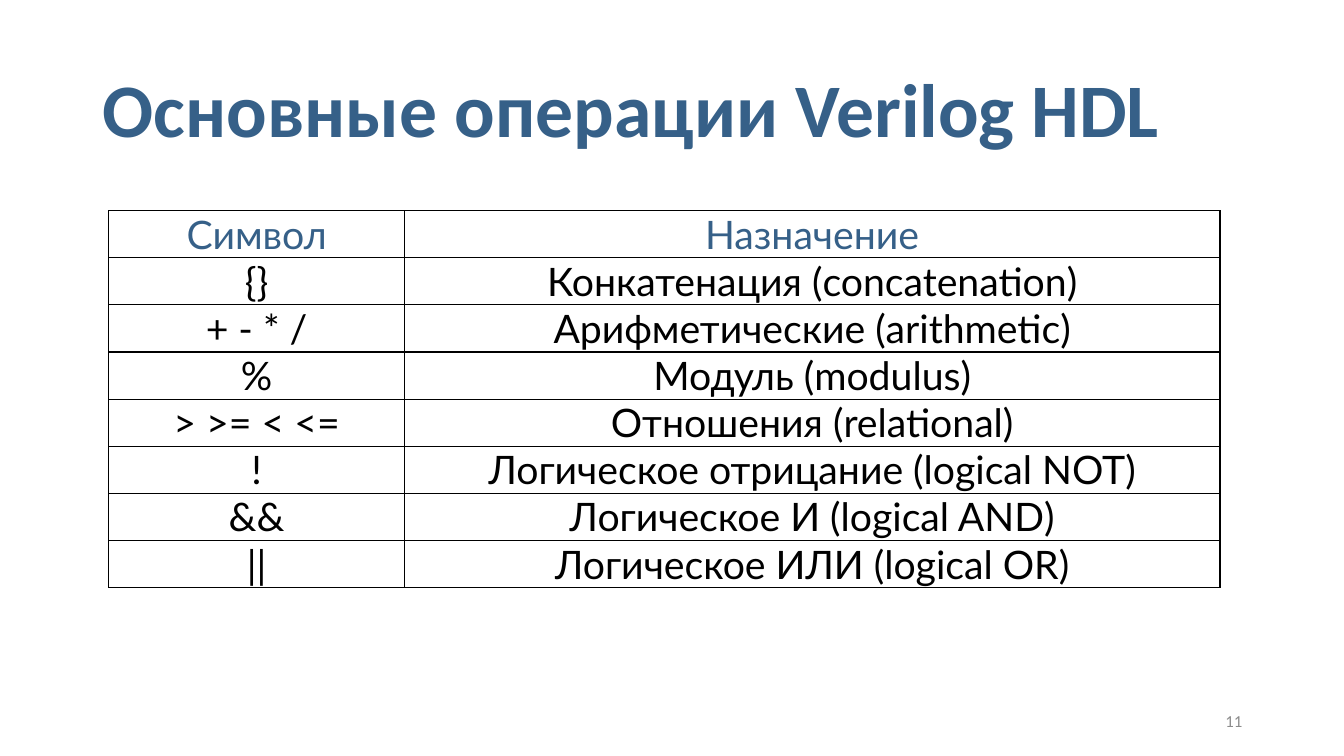
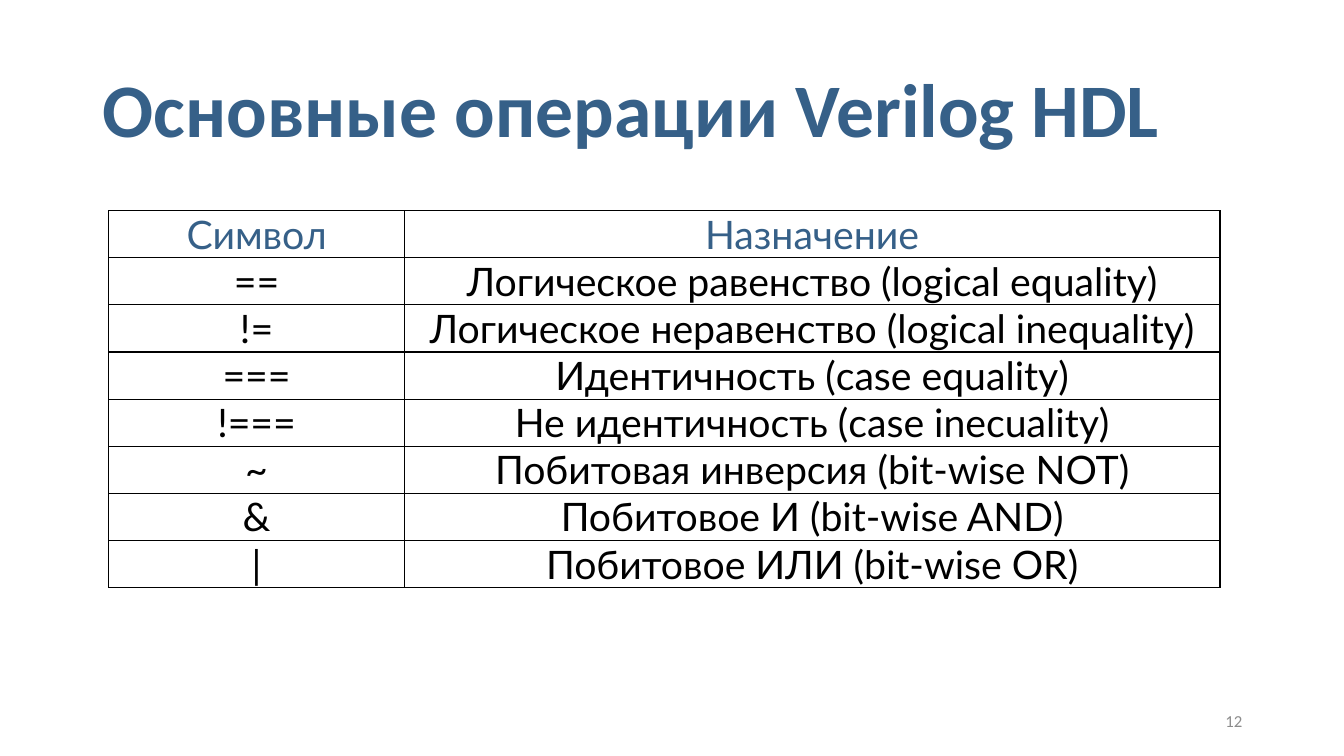
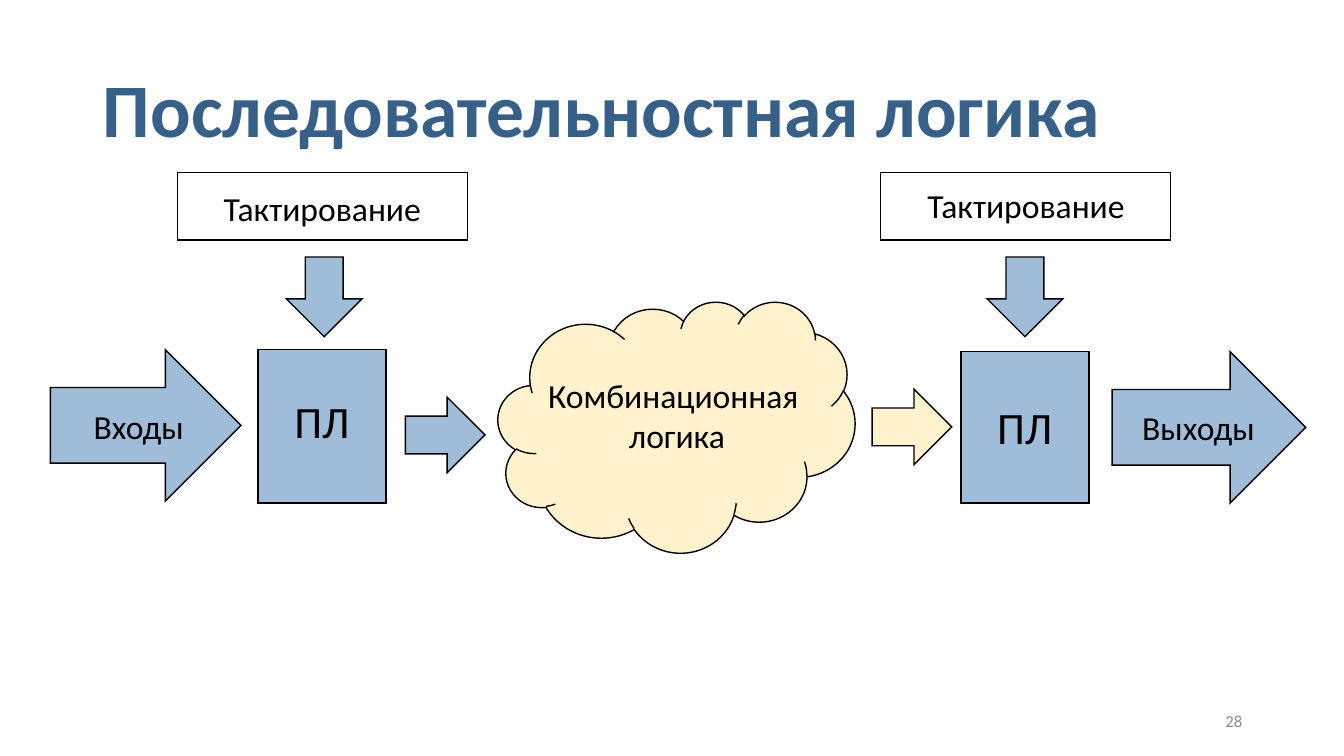
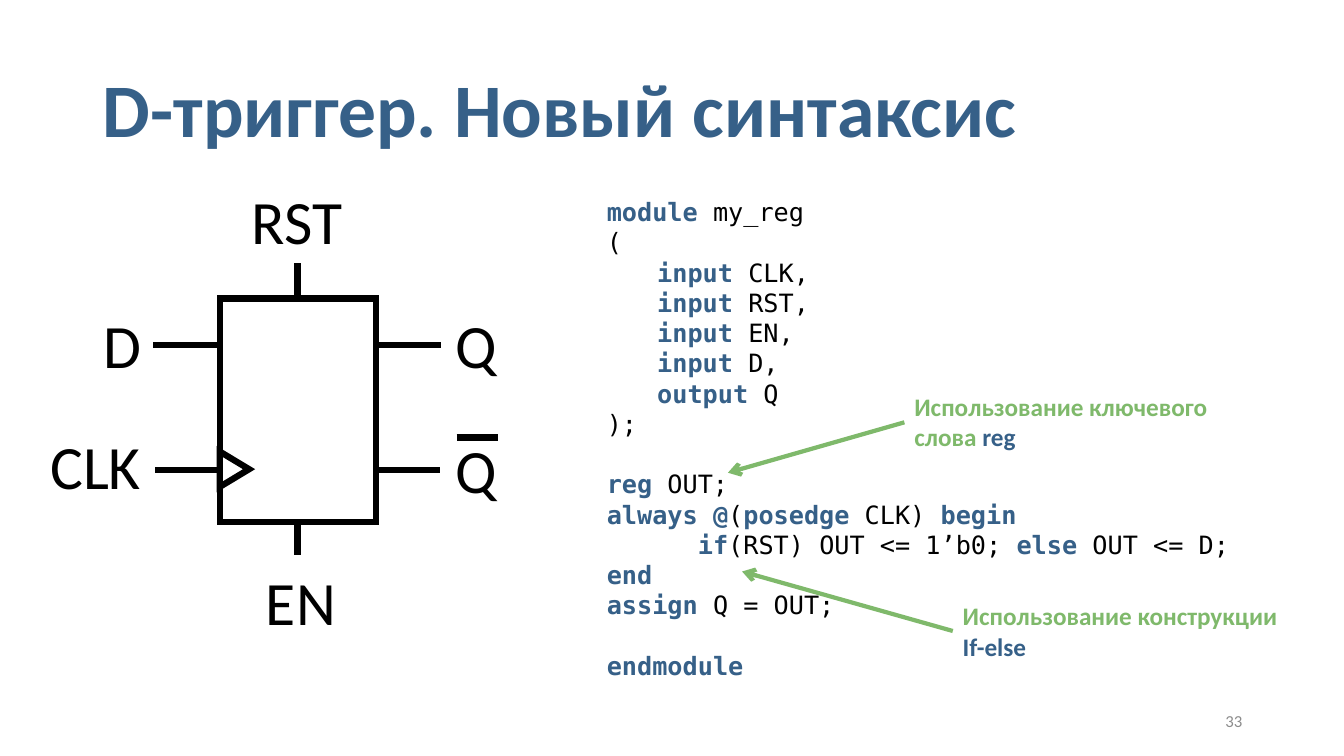
from dataclasses import dataclass

from lxml import etree
from pptx import Presentation
from pptx import util as u
from pptx.dml.color import RGBColor
from pptx.enum import shapes, text
from pptx.oxml import ns


@dataclass(frozen=True)
class Theme:
    blue: str = "366088"
    black: str = "000000"
    white: str = "FFFFFF"
    gray: str = "8C8C8C"
    sky: str = "9FBDD9"
    cream: str = "FFF2CC"
    green: str = "7FB96B"
    font: str = "Calibri"
    table_font: str = "Lato"
    code_font: str = "DejaVu Sans Mono"
    title: int = 54
    pin: int = 44
    register: int = 32
    table: int = 28
    label: int = 24
    code: int = 18
    number: int = 12
    thin: float = 1
    thick: float = 4.5
    pointer: float = 3
    code_line: float = 21.6


THEME = Theme()
LEFT, CENTER, RIGHT = (text.PP_ALIGN.LEFT, text.PP_ALIGN.CENTER,
                       text.PP_ALIGN.RIGHT)

# Content: operation tables
OPERATIONS_TITLE = "Основные операции Verilog HDL"
HEADER = ("Символ", "Назначение")
OPERATIONS = {
    11: [
        ("{}", "Конкатенация (concatenation)"),
        ("+ - * /", "Арифметические (arithmetic)"),
        ("%", "Модуль (modulus)"),
        ("> >= < <=", "Отношения (relational)"),
        ("!", "Логическое отрицание (logical NOT)"),
        ("&&", "Логическое И (logical AND)"),
        ("||", "Логическое ИЛИ (logical OR)"),
    ],
    12: [
        ("==", "Логическое равенство (logical equality)"),
        ("!=", "Логическое неравенство (logical inequality)"),
        ("===", "Идентичность (case equality)"),
        ("!===", "Не идентичность (case inecuality)"),
        ("~", "Побитовая инверсия (bit-wise NOT)"),
        ("&", "Побитовое И (bit-wise AND)"),
        ("|", "Побитовое ИЛИ (bit-wise OR)"),
    ],
}
TABLE_BOX = (1.08, 2.09, 11.02, 3.73)
TABLE_COLUMNS = (2.93, 8.09)

# Content: sequential logic; box, preset, fill, rotation
LOGIC_BLOCKS = [
    ((0.5, 3.47, 1.89, 1.5), "RIGHT_ARROW", THEME.sky, 0),
    ((11.03, 3.49, 1.92, 1.5), "RIGHT_ARROW", THEME.sky, 0),
    ((2.56, 3.47, 1.27, 1.52), "RECTANGLE", THEME.sky, 0),
    ((9.53, 3.49, 1.27, 1.5), "RECTANGLE", THEME.sky, 0),
    ((4.02, 3.94, 0.79, 0.75), "RIGHT_ARROW", THEME.sky, 0),
    ((8.65, 3.86, 0.79, 0.75), "RIGHT_ARROW", THEME.cream, 0),
    ((2.82, 2.57, 0.79, 0.75), "RIGHT_ARROW", THEME.sky, 90),
    ((9.77, 2.57, 0.79, 0.75), "RIGHT_ARROW", THEME.sky, 90),
    ((4.94, 2.99, 3.54, 2.49), "CLOUD", THEME.cream, 0),
    ((1.76, 1.71, 2.88, 0.67), "RECTANGLE", None, 0),
    ((8.73, 1.71, 2.88, 0.67), "RECTANGLE", None, 0),
]
# Box, lines, size, fill
LOGIC_LABELS = [
    ((0.83, 3.98, 1.1, 0.5), ["Входы"], THEME.label, THEME.sky),
    ((11.23, 3.99, 1.33, 0.5), ["Выходы"], THEME.label, THEME.sky),
    ((2.82, 3.86, 0.75, 0.64), ["ПЛ"], THEME.register, THEME.sky),
    ((9.79, 3.92, 0.75, 0.64), ["ПЛ"], THEME.register, THEME.sky),
    ((5.32, 3.67, 2.79, 0.91), ["Комбинационная ", "логика"], THEME.label,
     THEME.cream),
    ((2.12, 1.82, 2.18, 0.5), ["Тактирование"], THEME.label, None),
    ((9.1, 1.79, 2.18, 0.5), ["Тактирование"], THEME.label, None),
]

# Content: D flip-flop
FLIP_FLOP = [
    ((2.18, 2.96, 1.55, 2.22), "RECTANGLE", None, 0),
    ((2.15, 4.51, 0.35, 0.29), "ISOSCELES_TRIANGLE", None, 90),
]
PIN_LINES = [
    ((1.52, 3.42), (2.18, 3.42)),
    ((1.54, 4.66), (2.2, 4.66)),
    ((3.71, 3.42), (4.37, 3.42)),
    ((3.7, 4.66), (4.36, 4.66)),
    ((4.53, 4.34), (4.94, 4.34)),
    ((2.95, 2.61), (2.95, 2.94)),
    ((2.95, 5.18), (2.95, 5.51)),
]
PIN_HEIGHT = 0.84
PIN_LABELS = [  # left, top, width
    ("D", 0.93, 3, 0.58),
    ("CLK", 0.4, 4.2, 1.11),
    ("Q", 4.42, 3, 0.62),
    ("Q", 4.42, 4.24, 0.62),
    ("RST", 2.4, 1.77, 1.11),
    ("EN", 2.54, 5.55, 0.9),
]
# Keywords stand between bars; one blank line separates the groups
CODE_BOX = (5.92, 1.9, 6.67, 4.95)
CODE_GROUPS = [
    ["|module |my_reg", "(", "\t|input| CLK,", "\t|input| RST,",
     "\t|input| EN,", "\t|input| D,", "\t|output |Q", ");"],
    ["|reg |OUT;", "|always @|(|posedge |CLK) |begin",
     "      |if|(RST) OUT <= 1’b0; |else |OUT <= D;", "|end",
     "|assign |Q = OUT;"],
    ["|endmodule"],
]
CALLOUTS = [  # box, lines, arrow from, arrow to
    ((8.97, 3.83, 3.18, 0.71), ["Использование ключевого", "слова |reg"],
     (8.97, 4.19), (7.22, 4.69)),
    ((9.45, 5.91, 3.34, 0.71), ["Использование конструкции", "|If-else"],
     (9.45, 6.26), (7.36, 5.67)),
]


# Shared helpers
def inches(values):
    return [u.Inches(value) for value in values]


def set_format(font, color, **values):
    for name, value in values.items():
        setattr(font, name, value)
    font.color.rgb = RGBColor.from_string(color)


def set_fill(fill, color):
    if color is None:
        fill.background()
    else:
        fill.solid()
        fill.fore_color.rgb = RGBColor.from_string(color)


def set_line(line, color, width):
    line.color.rgb = RGBColor.from_string(color)
    line.width = u.Pt(width)
    etree.SubElement(line._get_or_add_ln(), ns.qn("a:miter"), lim="800000")


def write(paragraph, content, size, color=THEME.black, font=THEME.font,
          bold=False, align=LEFT, keyword=None):
    """Write one line; with a keyword format, bars switch to it and back."""
    paragraph.alignment = align
    parts = content.split("|") if keyword else [content]
    for index, part in enumerate(parts):
        if part:
            run = paragraph.add_run()
            run.text = part
            values = {"color": color, "bold": bold}
            if index % 2:
                values = keyword
            set_format(run.font, size=u.Pt(size), name=font, **values)


def add_text(slide, box, lines, size, fill=None, wrap=False, **values):
    shape = slide.shapes.add_textbox(*inches(box))
    set_fill(shape.fill, fill)
    frame = shape.text_frame
    frame.word_wrap = wrap
    frame.auto_size = text.MSO_AUTO_SIZE.SHAPE_TO_FIT_TEXT
    for index, line in enumerate(lines):
        paragraph = frame.add_paragraph() if index else frame.paragraphs[0]
        write(paragraph, line, size, **values)
    return shape


def add_blocks(slide, blocks, width):
    for box, preset, fill, rotation in blocks:
        kind = getattr(shapes.MSO_SHAPE, preset)
        shape = slide.shapes.add_shape(kind, *inches(box))
        shape.shadow.inherit = False
        shape.rotation = rotation
        set_fill(shape.fill, fill)
        set_line(shape.line, THEME.black, width)


def add_line(slide, start, end, color, width, arrow=False):
    connector = slide.shapes.add_connector(
        shapes.MSO_CONNECTOR.STRAIGHT, *inches(start + end))
    set_line(connector.line, color, width)
    if arrow:
        etree.SubElement(connector.line._get_or_add_ln(),
                         ns.qn("a:tailEnd"), type="arrow")
    etree.SubElement(connector._element.spPr, ns.qn("a:effectLst"))


def add_slide(presentation, title, number):
    slide = presentation.slides.add_slide(presentation.slide_layouts[5])
    shape = slide.shapes.title
    shape.left, shape.top, shape.width, shape.height = inches(
        (0.92, 0.4, 11.5, 1.45))
    shape.text_frame.vertical_anchor = text.MSO_ANCHOR.MIDDLE
    paragraph = shape.text_frame.paragraphs[0]
    paragraph.line_spacing = 0.9
    write(paragraph, title, THEME.title, THEME.blue, bold=True)
    add_text(slide, (9.42, 6.95, 3, 0.4), [str(number)], THEME.number,
             wrap=True, color=THEME.gray, align=RIGHT
             ).text_frame.vertical_anchor = text.MSO_ANCHOR.MIDDLE
    return slide


def add_borders(cell):
    properties = cell._tc.get_or_add_tcPr()
    for position, side in enumerate(("lnL", "lnR", "lnT", "lnB")):
        line = etree.Element(ns.qn(f"a:{side}"), w=str(u.Pt(THEME.thin)))
        fill = etree.SubElement(line, ns.qn("a:solidFill"))
        etree.SubElement(fill, ns.qn("a:srgbClr"), val=THEME.black)
        properties.insert(position, line)


# Slides
def build_operations(presentation, number, operations):
    slide = add_slide(presentation, OPERATIONS_TITLE, number)
    rows = [HEADER] + operations
    table = slide.shapes.add_table(len(rows), len(HEADER),
                                   *inches(TABLE_BOX)).table
    for column, width in zip(table.columns, TABLE_COLUMNS):
        column.width = u.Inches(width)
    for row_index, row in enumerate(rows):
        color = THEME.black if row_index else THEME.blue
        for column_index, content in enumerate(row):
            cell = table.cell(row_index, column_index)
            for side in ("left", "right", "top", "bottom"):
                setattr(cell, f"margin_{side}", 0)
            set_fill(cell.fill, THEME.white)
            add_borders(cell)
            write(cell.text_frame.paragraphs[0], content, THEME.table, color,
                  THEME.table_font, align=CENTER)


def build_logic(presentation):
    slide = add_slide(presentation, "Последовательностная логика", 28)
    add_blocks(slide, LOGIC_BLOCKS, THEME.thin)
    for box, lines, size, fill in LOGIC_LABELS:
        add_text(slide, box, lines, size, fill,
                 align=CENTER if len(lines) > 1 else LEFT)


def build_flip_flop(presentation):
    slide = add_slide(presentation, "D-триггер. Новый синтаксис", 33)
    keyword = {"color": THEME.blue, "bold": True}

    # Symbol with its pins
    add_blocks(slide, FLIP_FLOP, THEME.thick)
    for start, end in PIN_LINES:
        add_line(slide, start, end, THEME.black, THEME.thick)
    for name, left, top, width in PIN_LABELS:
        add_text(slide, (left, top, width, PIN_HEIGHT), [name], THEME.pin)

    # Code listing
    lines = [line for group in CODE_GROUPS for line in group]
    listing = add_text(slide, CODE_BOX, lines, THEME.code, wrap=True,
                       font=THEME.code_font, keyword=keyword)
    paragraphs = listing.text_frame.paragraphs
    for paragraph in paragraphs:
        paragraph.line_spacing = u.Pt(THEME.code_line)
    first = 0
    for group in CODE_GROUPS[:-1]:
        first += len(group)
        paragraphs[first].space_before = u.Pt(THEME.code_line)

    # Callouts
    for box, lines, start, end in CALLOUTS:
        add_line(slide, start, end, THEME.green, THEME.pointer, arrow=True)
        add_text(slide, box, lines, THEME.code, color=THEME.green, bold=True,
                 keyword=keyword)


def main():
    presentation = Presentation()
    presentation.slide_width = u.Inches(13.33)
    presentation.slide_height = u.Inches(7.5)
    for number, operations in OPERATIONS.items():
        build_operations(presentation, number, operations)
    build_logic(presentation)
    build_flip_flop(presentation)
    presentation.save("out.pptx")


if __name__ == "__main__":
    main()
